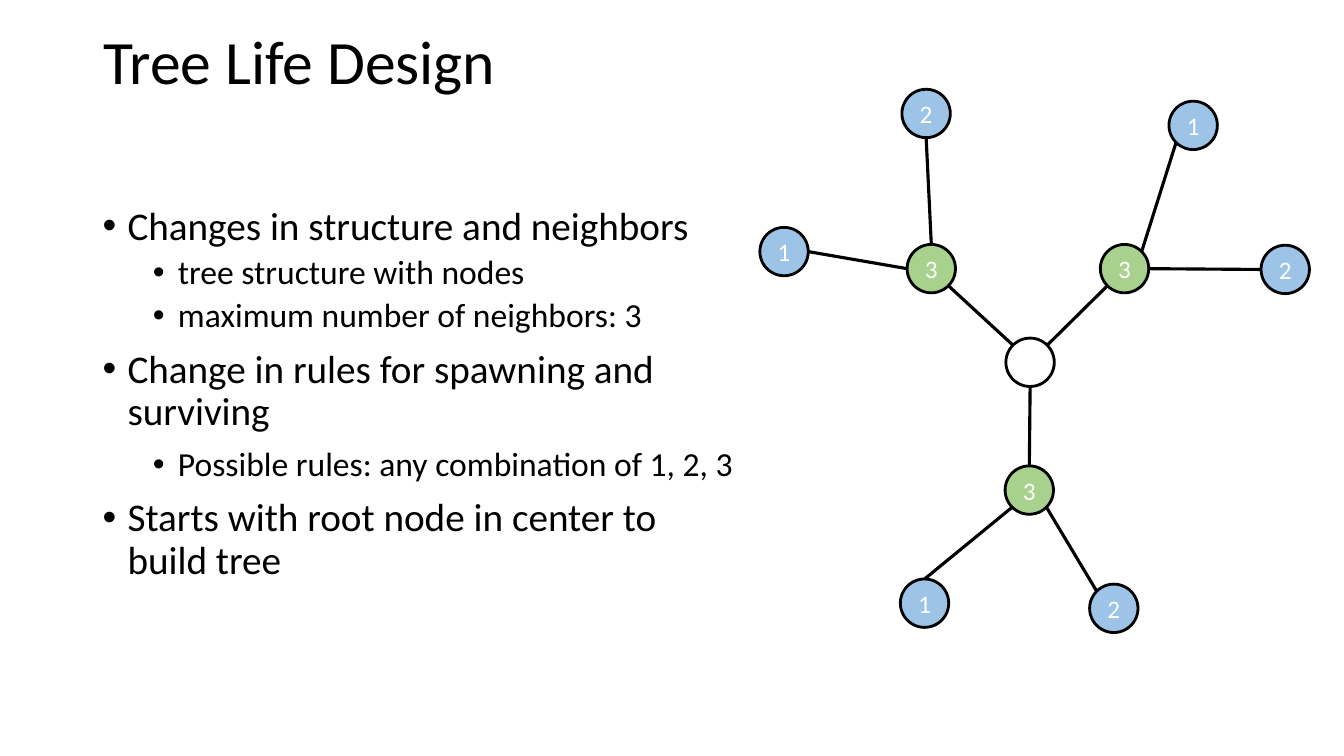
from dataclasses import dataclass
from lxml.etree import SubElement
from pptx import Presentation
from pptx.dml.color import RGBColor
from pptx.enum.shapes import MSO_CONNECTOR, MSO_SHAPE
from pptx.enum.text import MSO_ANCHOR, MSO_AUTO_SIZE, PP_ALIGN
from pptx.oxml.ns import qn
from pptx.util import Cm, Pt


@dataclass
class Theme:
    font: str = "Calibri"
    ink: str = "000000"
    label: str = "FFFFFF"
    hub: str = "A9D18E"
    leaf: str = "9DC3E6"
    title_size: int = 44
    body_size: int = 28
    detail_size: int = 24
    label_size: int = 18
    outline: float = 2
    branch: float = 2.25


theme = Theme()


def style_text(para, size, color):
    for span in para.runs:
        span.font.name = theme.font
        span.font.size = Pt(size)
        span.font.color.rgb = RGBColor.from_string(color)


def place(box, left, top, width, height):
    box.left, box.top, box.width, box.height = Cm(left), Cm(top), Cm(width), Cm(height)
    box.text_frame.auto_size = MSO_AUTO_SIZE.NONE


deck = Presentation()
deck.slide_width, deck.slide_height = Cm(33.87), Cm(19.05)
page = deck.slides.add_slide(deck.slide_layouts[1])

title = page.shapes.title
place(title, 2.35, 0.25, 29.21, 2.74)
title.text_frame.text = "Tree Life Design"
title.text_frame.vertical_anchor = MSO_ANCHOR.MIDDLE
heading = title.text_frame.paragraphs[0]
heading.alignment = PP_ALIGN.LEFT
heading.line_spacing = 0.9
style_text(heading, theme.title_size, theme.ink)

points = [
    (0, 10, "Changes in structure and neighbors"),
    (1, 5, "tree structure with nodes"),
    (1, 5, "maximum number of neighbors: 3"),
    (0, 10, "Change in rules for spawning and surviving"),
    (2, 10, "Possible rules: any combination of 1, 2, 3"),
    (0, 10, "Starts with root node in center to build tree"),
]
body = page.placeholders[1]
place(body, 2.33, 5.07, 16.51, 12.09)
body.text_frame.text = "\n".join(text for _, _, text in points)
for para, (level, gap, _) in zip(body.text_frame.paragraphs, points):
    para.level = level
    para.line_spacing = 0.9
    para.space_before = Pt(gap)
    settings = para._p.get_or_add_pPr()
    settings.set("marL", str(Cm(1.9 if level else 0.63)))
    settings.set("indent", str(-Cm(0.63)))
    SubElement(settings, qn("a:buFont")).set("typeface", "Arial")
    SubElement(settings, qn("a:buChar")).set("char", "•")
    style_text(para, theme.detail_size if level else theme.body_size, theme.ink)

diameter = 1.22
nodes = {
    "left leaf": (19.15, 5.73, "1", theme.leaf),
    "upper left leaf": (22.73, 2.25, "2", theme.leaf),
    "root": (25.35, 8.52, "", None),
    "left hub": (22.86, 6.16, "3", theme.hub),
    "lower hub": (25.33, 11.74, "3", theme.hub),
    "right hub": (27.73, 6.16, "3", theme.hub),
    "upper right leaf": (29.46, 2.55, "1", theme.leaf),
    "right leaf": (31.78, 6.18, "2", theme.leaf),
    "lower right leaf": (27.46, 14.72, "2", theme.leaf),
    "lower left leaf": (22.69, 14.59, "1", theme.leaf),
}
tree = page.shapes.add_group_shape()
for left, top, label, fill in nodes.values():
    node = tree.shapes.add_shape(
        MSO_SHAPE.OVAL, Cm(left), Cm(top), Cm(diameter), Cm(diameter))
    node.shadow.inherit = False
    node.line.color.rgb = RGBColor.from_string(theme.ink)
    node.line.width = Pt(theme.outline)
    if not fill:
        node.fill.background()
        continue
    node.fill.solid()
    node.fill.fore_color.rgb = RGBColor.from_string(fill)
    frame = node.text_frame
    frame.text = label
    frame.word_wrap = False
    frame.vertical_anchor = MSO_ANCHOR.MIDDLE
    frame.paragraphs[0].alignment = PP_ALIGN.CENTER
    style_text(frame.paragraphs[0], theme.label_size, theme.label)

radius = diameter / 2
diagonal = radius * 0.5 ** 0.5
rim = {
    "N": (0, -radius), "E": (radius, 0), "S": (0, radius), "W": (-radius, 0),
    "NE": (diagonal, -diagonal), "SE": (diagonal, diagonal),
    "SW": (-diagonal, diagonal), "NW": (-diagonal, -diagonal),
}
branches = [
    ("left hub", "SE", "root", "NW"),
    ("right hub", "SW", "root", "NE"),
    ("root", "S", "lower hub", "N"),
    ("upper left leaf", "S", "left hub", "N"),
    ("left leaf", "E", "left hub", "W"),
    ("upper right leaf", "SW", "right hub", "NE"),
    ("right hub", "E", "right leaf", "W"),
    ("lower left leaf", "N", "lower hub", "SW"),
    ("lower hub", "SE", "lower right leaf", "NW"),
]
for start, start_side, end, end_side in branches:
    ends = []
    for name, side in ((start, start_side), (end, end_side)):
        left, top = nodes[name][:2]
        across, down = rim[side]
        ends += [Cm(left + radius + across), Cm(top + radius + down)]
    branch = tree.shapes.add_connector(MSO_CONNECTOR.STRAIGHT, *ends)
    branch.line.color.rgb = RGBColor.from_string(theme.ink)
    branch.line.width = Pt(theme.branch)
    SubElement(branch._element.spPr, qn("a:effectLst"))

deck.save("out.pptx")
